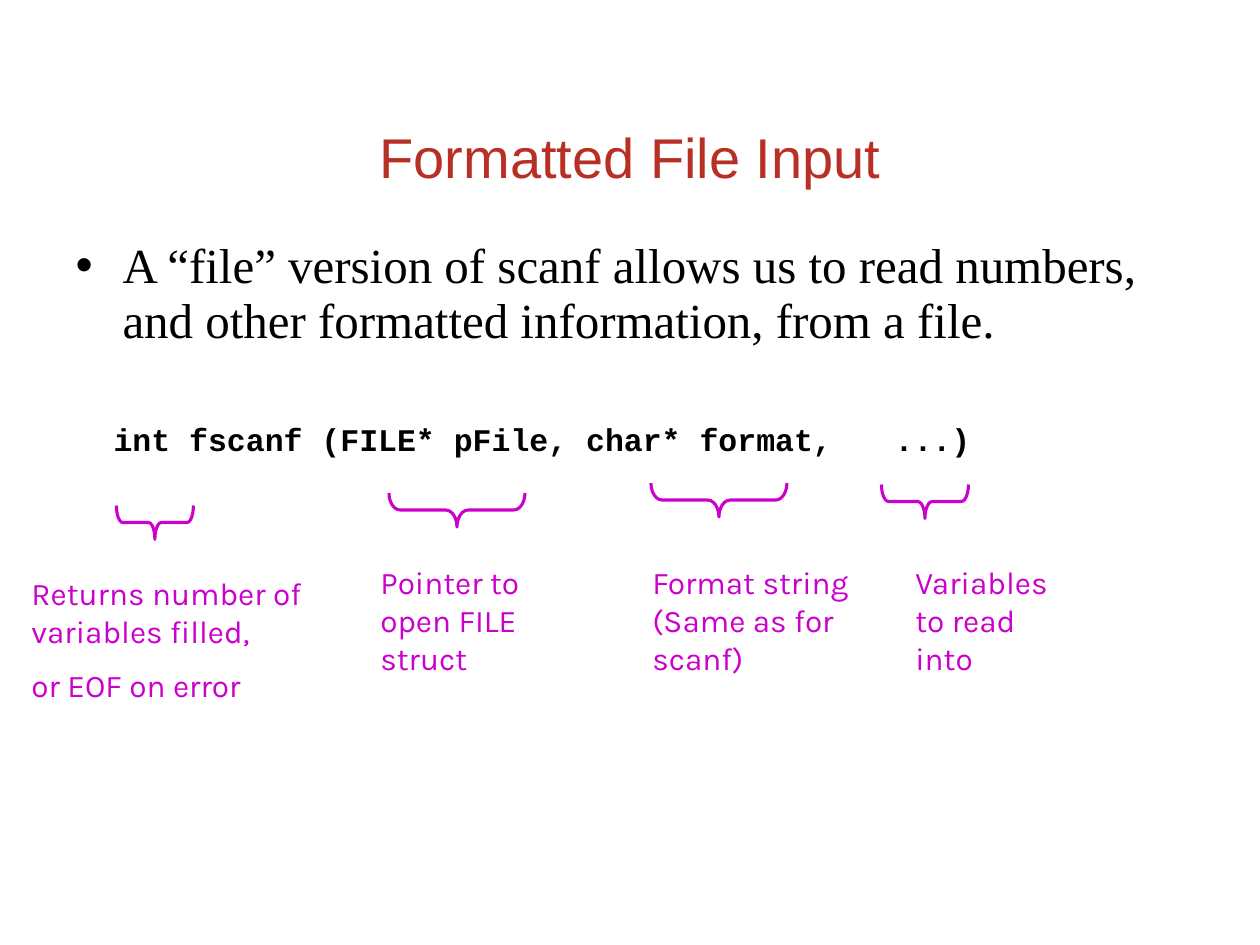
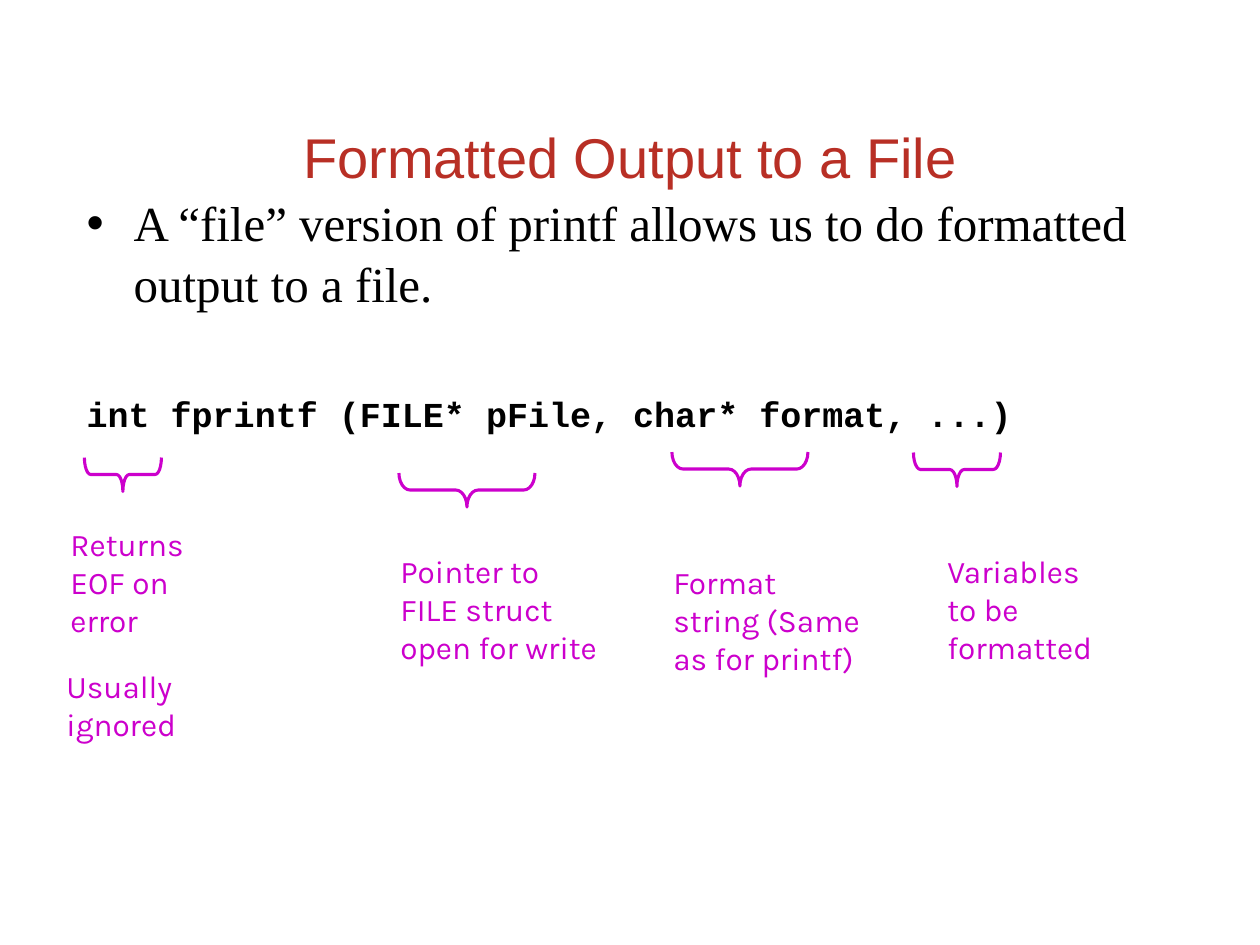
from lxml import etree
from pptx import Presentation, util as u
from pptx.dml.color import RGBColor
from pptx.enum import shapes, text
from pptx.oxml import ns

PX = 914400 // 126  # one px in EMU
COLORS = {"title": "B82F25", "body": "000000", "note": "CC00CC"}
TITLE_BOX = (95, 95, 1071, 122)
BRACE_DEPTH = 34
BRACE_CURVE = 0.00242  # curve of a brace for each px of its width

SLIDES = [
    {
        "title": "Formatted File Input",
        "body_box": (63, 231, 1139, 344),
        "body_inset": 8,
        "sentence": "A “file” version of scanf allows us to read numbers, "
                    "and other formatted information, from a file.",
        "line_spacing": 0.94,
        "code": "int fscanf (FILE* pFile, char* format,\t...)",
        "code_size": 18,
        "code_gap": 40,
        "code_indent": 38,
        "code_tab": 832,
        "braces": [(116, 505, 77), (389, 493, 136), (651, 483, 136), (882, 484, 87)],
        "notes": [
            ((19, 568, 306, 145), ["Returns number of variables filled,", "or EOF on error"]),
            ((368, 557, 217, 126), ["Pointer to open FILE struct"]),
            ((640, 557, 229, 126), ["Format string (Same as for scanf)"]),
            ((903, 557, 179, 126), ["Variables to read into"]),
        ],
    },
    {
        "title": "Formatted Output to a File",
        "body_box": (74, 179, 1140, 304),
        "body_inset": 12,
        "sentence": "A “file” version of printf allows us to do formatted output to a file.",
        "line_spacing": 1.03,
        "code": "int fprintf (FILE* pFile, char* format, ...)",
        "code_size": 20,
        "code_gap": 46,
        "code_indent": 0,
        "code_tab": None,
        "braces": [(84, 457, 77), (399, 473, 136), (672, 452, 136), (913, 452, 87)],
        "notes": [
            ((58, 519, 142, 126), ["Returns EOF on error"]),
            ((54, 661, 142, 88), ["Usually ignored"]),
            ((388, 546, 229, 126), ["Pointer to FILE struct open for write"]),
            ((661, 557, 218, 126), ["Format string (Same as for printf)"]),
            ((935, 546, 179, 126), ["Variables to be formatted"]),
        ],
    },
]


def emu(box):
    return [value * PX for value in box]


def place(shape, box):
    shape.left, shape.top, shape.width, shape.height = emu(box)


def style(paragraph, font_name, size, color, bold=False):
    paragraph.alignment = text.PP_ALIGN.LEFT
    font = paragraph.font
    font.name, font.size, font.bold = font_name, u.Pt(size), bold
    font.color.rgb = RGBColor.from_string(COLORS[color])


def set_indent(paragraph, margin, indent, bullet=None, tab=None):
    properties = paragraph._p.get_or_add_pPr()
    properties.set("marL", str(margin * PX))
    properties.set("indent", str(indent * PX))

    def add(parent, tag, **attributes):
        return etree.SubElement(parent, ns.qn(tag), attributes)

    # The schema wants the bullet and tabs ahead of the default run properties
    default_font = properties.find(ns.qn("a:defRPr"))
    if bullet:
        add(properties, "a:buFont", typeface="Arial")
        add(properties, "a:buChar", char=bullet)
    else:
        add(properties, "a:buNone")
    if tab:
        add(add(properties, "a:tabLst"), "a:tab", pos=str(tab * PX), algn="l")
    if default_font is not None:
        properties.append(default_font)


def add_title(slide, title, box):
    shape = slide.shapes.title
    place(shape, box)
    frame = shape.text_frame
    frame.text = title
    frame.auto_size = text.MSO_AUTO_SIZE.NONE
    frame.vertical_anchor = text.MSO_ANCHOR.MIDDLE
    paragraph = frame.paragraphs[0]
    style(paragraph, "Arial", 32, "title")
    paragraph.alignment = text.PP_ALIGN.CENTER


def add_body(slide, content, box):
    shape = slide.placeholders[1]
    place(shape, box)
    frame = shape.text_frame
    frame.auto_size = text.MSO_AUTO_SIZE.NONE
    frame.margin_top = content["body_inset"] * PX

    # Sentence with a bullet
    sentence = frame.paragraphs[0]
    sentence.text = content["sentence"]
    style(sentence, "Times New Roman", 28, "body")
    sentence.line_spacing = content["line_spacing"]
    sentence.space_before = u.Pt(0)
    set_indent(sentence, 47, -47, bullet="•")

    # Function signature
    code = frame.add_paragraph()
    code.text = content["code"]
    style(code, "Courier New", content["code_size"], "body", bold=True)
    code.space_before = u.Pt(content["code_gap"])
    set_indent(code, 0, content["code_indent"], tab=content["code_tab"])


def add_brace(slide, left, top, width):
    """Draw a brace that opens upwards, as a left brace turned about its centre."""
    turn = (width - BRACE_DEPTH) / 2
    box = (round(left + turn), round(top - turn), BRACE_DEPTH, width)
    brace = slide.shapes.add_shape(shapes.MSO_SHAPE.LEFT_BRACE, *emu(box))
    brace.rotation = 270
    brace.adjustments[0] = width * BRACE_CURVE
    brace.shadow.inherit = False
    brace.fill.background()
    brace.line.color.rgb = RGBColor.from_string(COLORS["note"])
    brace.line.width = u.Pt(1.75)


def add_note(slide, box, lines):
    frame = slide.shapes.add_textbox(*emu(box)).text_frame
    frame.word_wrap = True
    frame.auto_size = text.MSO_AUTO_SIZE.SHAPE_TO_FIT_TEXT
    frame.text = "\n".join(lines)
    for index, paragraph in enumerate(frame.paragraphs):
        style(paragraph, "Karla", 18, "note")
        paragraph.space_before = u.Pt(9 if index else 0)


def add_function_slide(presentation, content):
    slide = presentation.slides.add_slide(presentation.slide_layouts[1])
    add_title(slide, content["title"], TITLE_BOX)
    add_body(slide, content, content["body_box"])
    for brace in content["braces"]:
        add_brace(slide, *brace)
    for box, lines in content["notes"]:
        add_note(slide, box, lines)


def main():
    presentation = Presentation()
    presentation.slide_width = u.Inches(10)
    presentation.slide_height = u.Inches(7.5)
    for content in SLIDES:
        add_function_slide(presentation, content)
    presentation.save("out.pptx")


if __name__ == "__main__":
    main()
